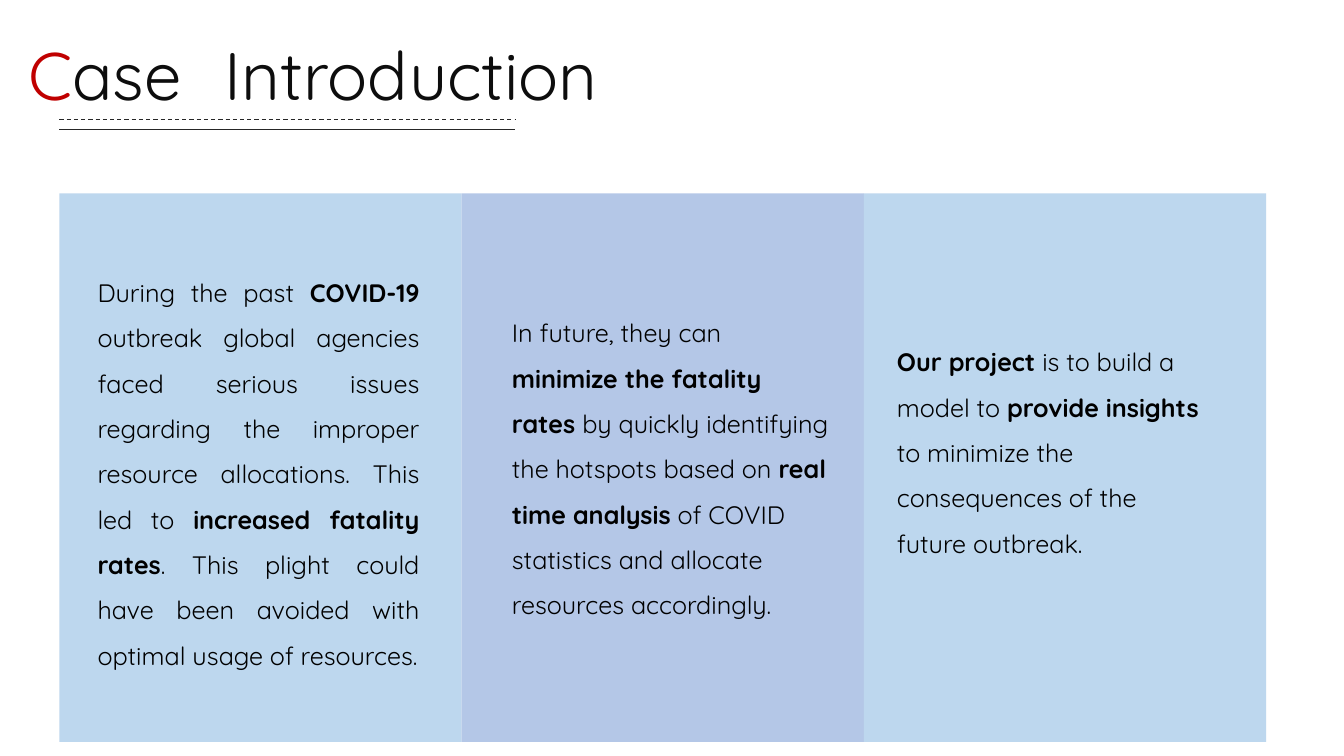
from dataclasses import dataclass

from lxml import etree
from pptx import Presentation
from pptx.dml.color import RGBColor
from pptx.enum.dml import MSO_LINE
from pptx.enum.shapes import MSO_CONNECTOR, MSO_SHAPE
from pptx.enum.text import MSO_ANCHOR, MSO_AUTO_SIZE, PP_ALIGN
from pptx.oxml.ns import qn
from pptx.util import Pt


@dataclass(frozen=True)
class Theme:
    font: str = "Quicksand"
    title_size: int = 48
    body_size: int = 18
    ink: str = "0D0D0D"
    accent: str = "C00000"
    body: str = "000000"
    rule: str = "262626"
    sky: str = "BDD7EE"
    periwinkle: str = "B4C7E7"


class SlideBuilder:
    def __init__(self, slide, theme):
        self.slide = slide
        self.theme = theme

    def style(self, p, size, color):
        p.font.name = self.theme.font
        p.font.size = Pt(size)
        p.font.color.rgb = RGBColor.from_string(color)

    def title(self, initial, rest, left, top, width, height, tab):
        sp = self.slide.shapes.title
        sp.left, sp.top, sp.width, sp.height = map(Pt, (left, top, width, height))
        tf = sp.text_frame
        tf.word_wrap = True
        tf.auto_size = MSO_AUTO_SIZE.NONE
        tf.vertical_anchor = MSO_ANCHOR.TOP
        p = tf.paragraphs[0]
        p.alignment = PP_ALIGN.LEFT
        tabs = etree.SubElement(p._p.get_or_add_pPr(), qn("a:tabLst"))
        etree.SubElement(tabs, qn("a:tab"), pos=str(Pt(tab)), algn="l")
        self.style(p, self.theme.title_size, self.theme.ink)
        r = p.add_run()
        r.text = initial
        r.font.color.rgb = RGBColor.from_string(self.theme.accent)
        p.add_run().text = rest

    def rule(self, left, right, y, weight, dash=None):
        line = self.slide.shapes.add_connector(
            MSO_CONNECTOR.STRAIGHT, Pt(left), Pt(y), Pt(right), Pt(y))
        line.line.color.rgb = RGBColor.from_string(self.theme.rule)
        line.line.width = Pt(weight)
        if dash:
            line.line.dash_style = dash
        etree.SubElement(line._element.spPr, qn("a:effectLst"))

    def panel(self, left, top, width, height, color):
        sp = self.slide.shapes.add_shape(
            MSO_SHAPE.RECTANGLE, Pt(left), Pt(top), Pt(width), Pt(height))
        sp.shadow.inherit = False
        sp.fill.solid()
        sp.fill.fore_color.rgb = RGBColor.from_string(color)
        sp.line.fill.background()

    def text(self, marked, left, top, width, height, align):
        sp = self.slide.shapes.add_textbox(Pt(left), Pt(top), Pt(width), Pt(height))
        tf = sp.text_frame
        tf.word_wrap = True
        p = tf.paragraphs[0]
        p.alignment = align
        p.line_spacing = 1.5
        self.style(p, self.theme.body_size, self.theme.body)
        for i, part in enumerate(marked.split("*")):
            if part:
                r = p.add_run()
                r.text = part
                if i % 2:
                    r.font.bold = True


PANEL_LEFT, PANEL_TOP, PANEL_WIDTH, PANEL_HEIGHT = 42.5, 138.2, 287.3, 391.7

COLUMNS = [
    ("During the past *COVID-19* outbreak global agencies faced serious issues "
     "regarding the improper resource allocations. This led to *increased fatality "
     "rates*. This plight could have been avoided with optimal usage of resources.",
     (62.6, 183.6, 244.1, 356.4), PP_ALIGN.JUSTIFY),
    ("In future, they can *minimize the fatality rates *by quickly identifying the "
     "hotspots based on* real time analysis* of COVID statistics and allocate "
     "resources accordingly.",
     (358.6, 212.4, 241.9, 257.8), PP_ALIGN.LEFT),
    ("*Our project *is to build a model to *provide insights *to minimize the "
     "consequences of the future outbreak.",
     (633.6, 233.3, 231.1, 193), PP_ALIGN.LEFT),
]


def main():
    prs = Presentation()
    prs.slide_width, prs.slide_height = Pt(960), Pt(540)
    theme = Theme()
    s = SlideBuilder(prs.slides.add_slide(prs.slide_layouts[5]), theme)

    s.title("C", "ase\tIntroduction", 13, 20.5, 620, 65.5, tab=140.4)
    s.rule(PANEL_LEFT, 368, 92.2, 0.5)
    s.rule(PANEL_LEFT, 368, 85.7, 0.75, MSO_LINE.DASH)

    for i, (marked, box, align) in enumerate(COLUMNS):
        color = theme.periwinkle if i % 2 else theme.sky
        s.panel(PANEL_LEFT + i * PANEL_WIDTH, PANEL_TOP, PANEL_WIDTH, PANEL_HEIGHT, color)
        s.text(marked, *box, align)

    prs.save("out.pptx")


if __name__ == "__main__":
    main()
